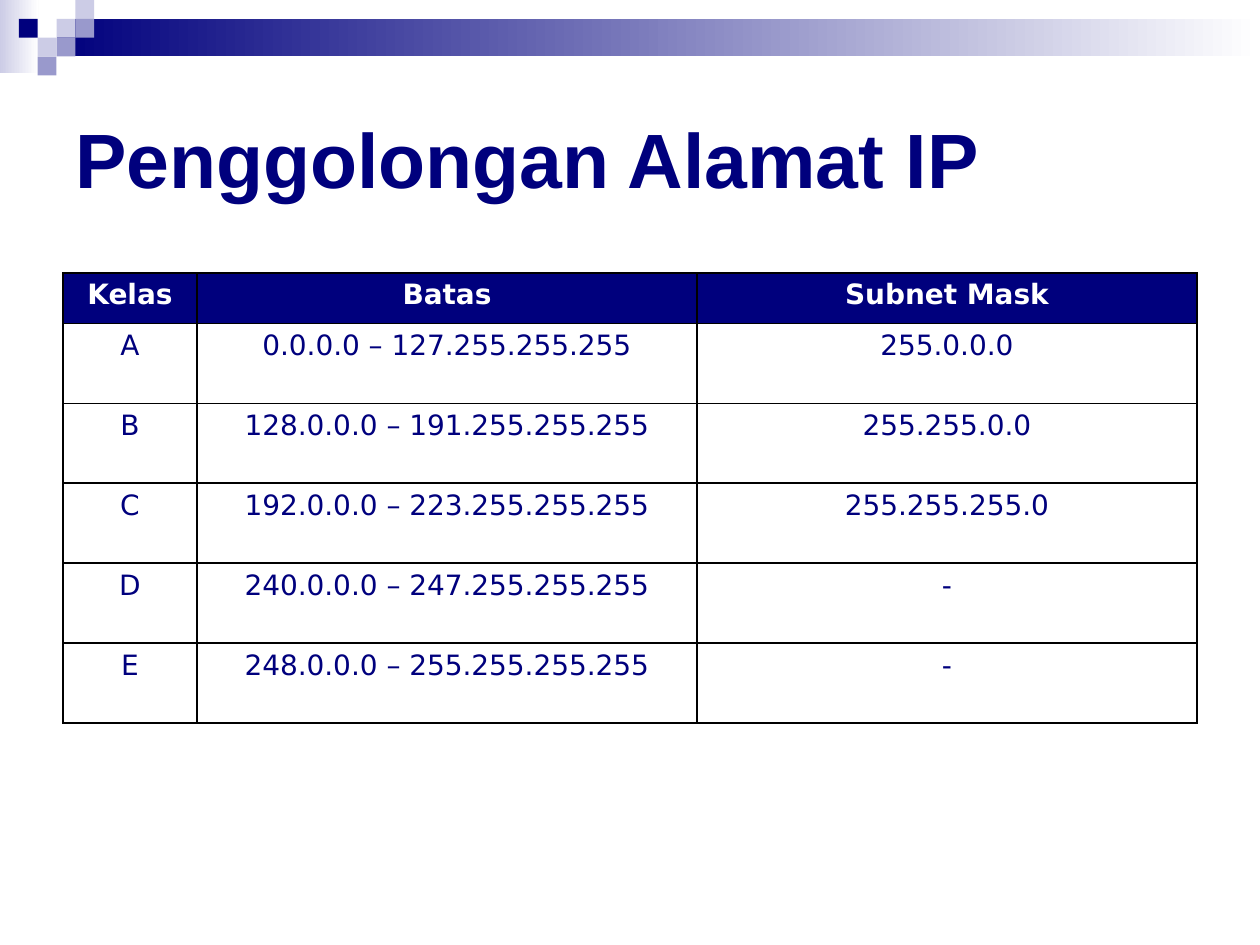
from dataclasses import dataclass
from typing import Any

from lxml import etree
from pptx import Presentation
from pptx.dml.color import RGBColor
from pptx.enum.shapes import MSO_SHAPE
from pptx.enum.text import MSO_ANCHOR, PP_ALIGN
from pptx.oxml.ns import qn
from pptx.util import Cm, Pt

RECTANGLE = MSO_SHAPE.RECTANGLE
MIDDLE = MSO_ANCHOR.MIDDLE
LEFT, CENTER = PP_ALIGN.LEFT, PP_ALIGN.CENTER
BLANK_LAYOUT = 6
TILE = 0.38


def color(value):
    return RGBColor.from_string(value)


def write(frame, text, size=16, font="DejaVu Sans", fill="00007D", bold=False, align=LEFT):
    para = frame.paragraphs[0]
    para.alignment = align
    span = para.add_run()
    span.text = text
    span.font.size = Pt(size)
    span.font.name = font
    span.font.bold = bold
    span.font.color.rgb = color(fill)


@dataclass
class SlideBuilder:
    """Holds the slide style and draws each kind of element on the current slide."""

    page: Any
    navy: str = "00007D"
    lilac: str = "CCCCE6"
    violet: str = "9999CC"
    white: str = "FFFFFF"
    border: str = "000000"

    def block(self, left, top, width, height, fill, fade_to=None):
        box = self.page.shapes.add_shape(RECTANGLE, Cm(left), Cm(top), Cm(width), Cm(height))
        box.shadow.inherit = False
        box.line.fill.background()
        if fade_to:
            box.fill.gradient()
            box.fill.gradient_angle = 0
            for stop, shade, position in zip(box.fill.gradient_stops, (fill, fade_to), (0, 1)):
                stop.color.rgb = color(shade)
                stop.position = position
        else:
            box.fill.solid()
            box.fill.fore_color.rgb = color(fill)

    def tile(self, column, row, fill):
        self.block(column * TILE, row * TILE, TILE, TILE, fill)

    def title(self, text, left, top, width, height):
        box = self.page.shapes.add_textbox(Cm(left), Cm(top), Cm(width), Cm(height))
        frame = box.text_frame
        frame.word_wrap = True
        frame.vertical_anchor = MIDDLE
        write(frame, text, size=44, font="Arial", fill=self.navy, bold=True)

    def outline(self, cell):
        properties = cell._tc.get_or_add_tcPr()
        for index, side in enumerate(("lnL", "lnR", "lnT", "lnB")):
            line = etree.Element(qn(f"a:{side}"), w=str(Pt(1)))
            solid = etree.SubElement(line, qn("a:solidFill"))
            etree.SubElement(solid, qn("a:srgbClr"), val=self.border)
            properties.insert(index, line)

    def table(self, rows, left, top, widths, heights):
        frame = self.page.shapes.add_table(
            len(rows), len(widths), Cm(left), Cm(top), Cm(sum(widths)), Cm(sum(heights)))
        table = frame.table
        table.horz_banding = False
        for column, width in zip(table.columns, widths):
            column.width = Cm(width)
        for row, height, values in zip(table.rows, heights, rows):
            row.height = Cm(height)
            header = values is rows[0]
            for cell, value in zip(row.cells, values):
                if header:
                    cell.fill.solid()
                    cell.fill.fore_color.rgb = color(self.navy)
                else:
                    cell.fill.background()
                write(cell.text_frame, value, fill=self.white if header else self.navy,
                      bold=header, align=CENTER)
                self.outline(cell)


def main():
    deck = Presentation()
    deck.slide_width, deck.slide_height = Cm(25.4), Cm(19.05)
    builder = SlideBuilder(deck.slides.add_slide(deck.slide_layouts[BLANK_LAYOUT]))

    builder.block(0, 0, 0.78, 1.48, builder.lilac, fade_to=builder.white)
    builder.block(3 * TILE, TILE, 25.4 - 3 * TILE, 2 * TILE, builder.navy, fade_to=builder.white)
    tiles = (
        (3, 1, builder.lilac),
        (4, 0, builder.lilac),
        (4, 1, builder.violet),
        (2, 2, builder.lilac),
        (1, 1, builder.navy),
        (3, 2, builder.violet),
        (2, 3, builder.violet),
    )
    for column, row, fill in tiles:
        builder.tile(column, row, fill)

    builder.title("Penggolongan Alamat IP", 1.27, 1.27, 22.86, 3.81)
    classes = (
        ("Kelas", "Batas", "Subnet Mask"),
        ("A", "0.0.0.0 – 127.255.255.255", "255.0.0.0"),
        ("B", "128.0.0.0 – 191.255.255.255", "255.255.0.0"),
        ("C", "192.0.0.0 – 223.255.255.255", "255.255.255.0"),
        ("D", "240.0.0.0 – 247.255.255.255", "-"),
        ("E", "248.0.0.0 – 255.255.255.255", "-"),
    )
    heights = [1.02] + [1.61] * (len(classes) - 1)
    builder.table(classes, 1.27, 5.5, (2.7, 10.08, 10.08), heights)
    deck.save("out.pptx")


if __name__ == "__main__":
    main()
